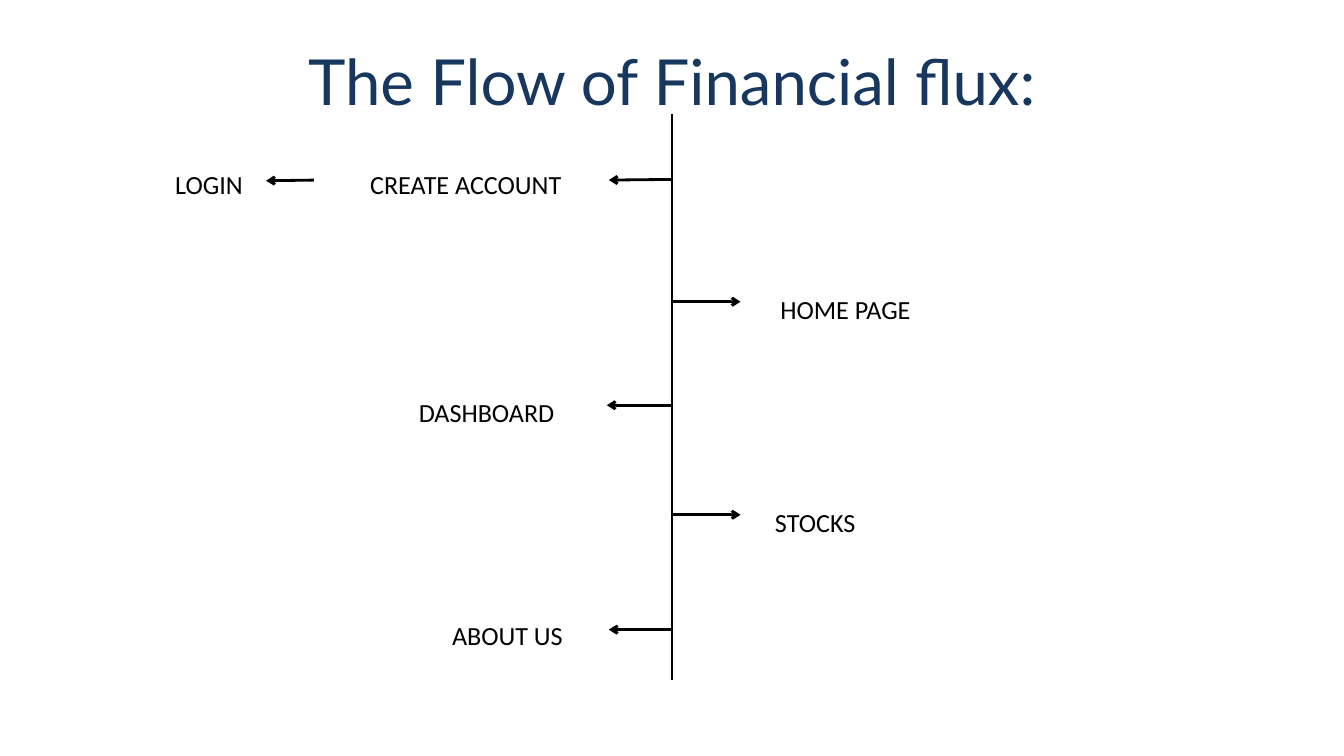
import pptx
import pptx.util
import pptx.dml.color
import pptx.enum.shapes
import pptx.enum.text
import pptx.oxml

COLUMNS, ROWS = 20, 11.25
NAVY = pptx.dml.color.RGBColor(0x17, 0x37, 0x5E)
BLACK = pptx.dml.color.RGBColor(0, 0, 0)

HEADING = "The Flow of Financial flux:"
AXIS = COLUMNS / 2
AXIS_TOP, AXIS_BOTTOM = 1.7, 10.12
LABEL_HEIGHT = 0.6

# STEPS
STEPS = [
    {"label": "CREATE ACCOUNT", "center": 6.93, "top": 2.31, "width": 4.25, "arrow": (AXIS, 2.67, 9.06, 2.68)},
    {"label": "LOGIN", "center": 3.11, "top": 2.31, "width": 1.88, "arrow": (4.67, 2.68, 3.96, 2.69)},
    {"label": "HOME PAGE", "center": 12.58, "top": 4.17, "width": 4.12, "arrow": (AXIS, 4.49, 11.02, 4.49)},
    {"label": "DASHBOARD", "center": 7.24, "top": 5.71, "width": 3, "arrow": (9.98, 6.03, 9.03, 6.03)},
    {"label": "STOCKS", "center": 12.13, "top": 7.34, "width": 1.85, "arrow": (9.98, 7.66, 11.02, 7.66)},
    {"label": "ABOUT US", "center": 7.55, "top": 9.02, "width": 2.39, "arrow": (AXIS, 9.37, 9.06, 9.37)},
]

deck = pptx.Presentation()
deck.slide_width = pptx.util.Inches(COLUMNS)
deck.slide_height = pptx.util.Inches(ROWS)
slide = deck.slides.add_slide(deck.slide_layouts[5])


def write(box, wording, font_name, size, color):
    frame = box.text_frame
    frame.margin_left = frame.margin_right = frame.margin_top = frame.margin_bottom = 0
    frame.word_wrap = True
    frame.auto_size = pptx.enum.text.MSO_AUTO_SIZE.SHAPE_TO_FIT_TEXT
    frame.vertical_anchor = pptx.enum.text.MSO_ANCHOR.TOP
    paragraph = frame.paragraphs[0]
    paragraph.alignment = pptx.enum.text.PP_ALIGN.CENTER
    paragraph.line_spacing = pptx.util.Pt(size * 1.4 if size > 28 else size * 1.7)
    run = paragraph.add_run()
    run.text = wording
    run.font.name = font_name
    run.font.size = pptx.util.Pt(size)
    run.font.color.rgb = color


def draw_line(ends, arrowhead=False):
    line = slide.shapes.add_connector(
        pptx.enum.shapes.MSO_CONNECTOR.STRAIGHT, *map(pptx.util.Inches, ends))
    line.line.color.rgb = BLACK
    line.line.width = pptx.util.Pt(3)
    properties = line._element.spPr
    if arrowhead:
        tail = pptx.oxml.ns.qn("a:tailEnd")
        line.line._get_or_add_ln().append(properties.makeelement(tail, {"type": "arrow"}))
    properties.append(properties.makeelement(pptx.oxml.ns.qn("a:effectLst"), {}))


heading = slide.shapes.title
heading_width = 11.9
heading.left, heading.top, heading.width, heading.height = map(
    pptx.util.Inches, ((COLUMNS - heading_width) / 2, 0.43, heading_width, 1.27))
write(heading, HEADING, "Lato", 68, NAVY)

draw_line((AXIS, AXIS_BOTTOM, AXIS, AXIS_TOP))
for step in STEPS:
    draw_line(step["arrow"], arrowhead=True)
    label = slide.shapes.add_textbox(*map(pptx.util.Inches, (
        step["center"] - step["width"] / 2, step["top"], step["width"], LABEL_HEIGHT)))
    write(label, step["label"], "Calibri", 28, BLACK)

deck.save("out.pptx")
